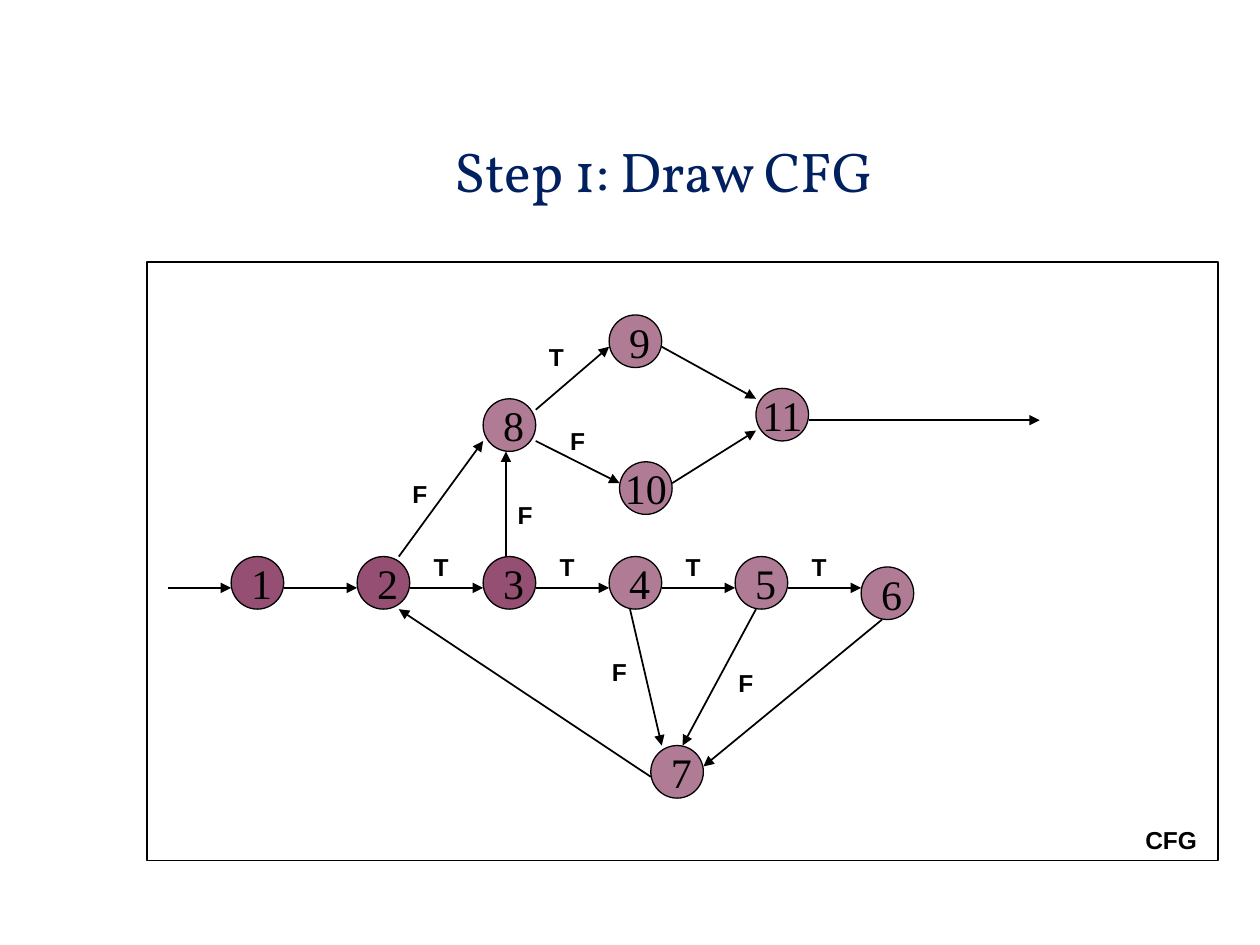
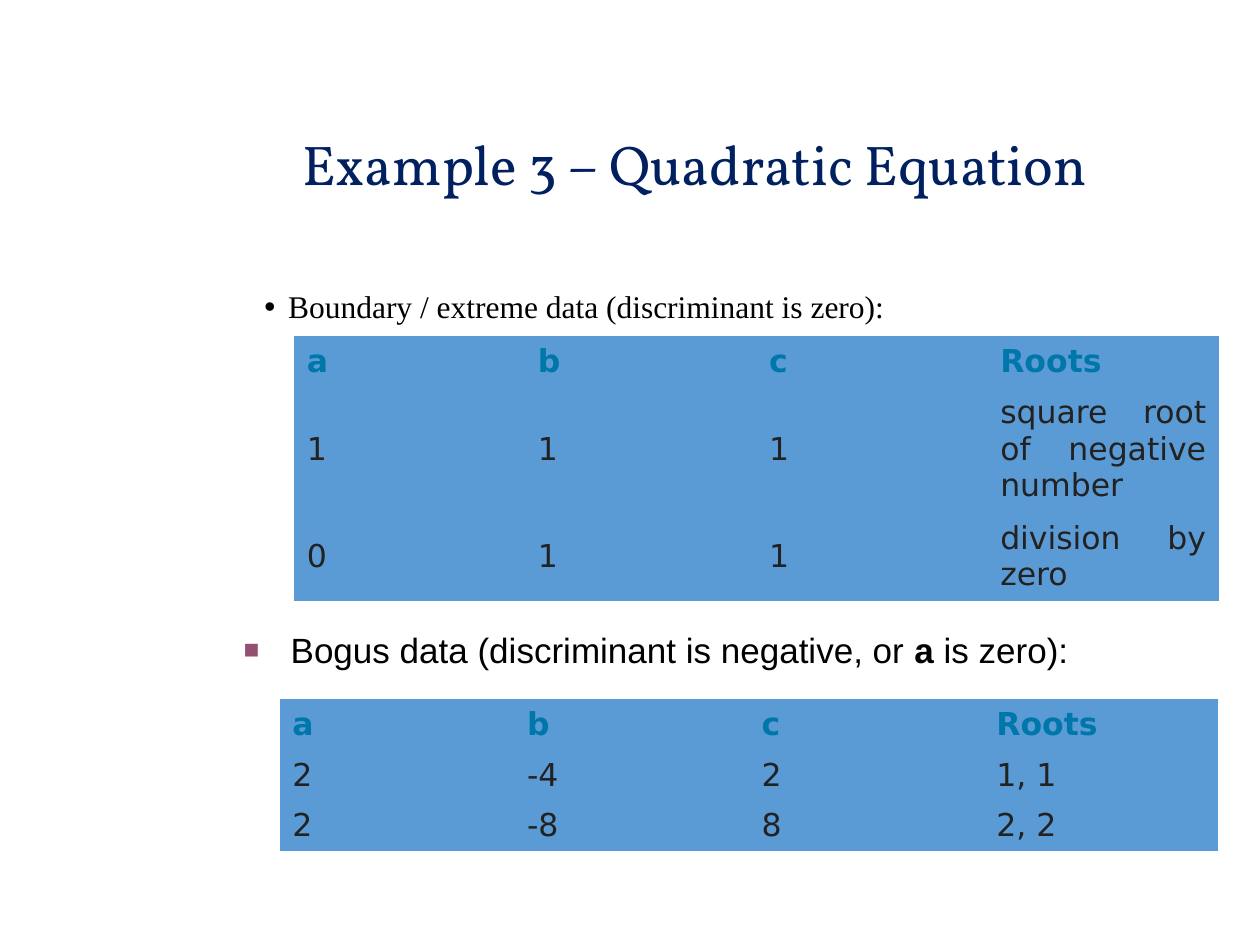
from lxml import etree
from pptx import Presentation
from pptx.dml.color import RGBColor
from pptx.enum.shapes import MSO_CONNECTOR, MSO_SHAPE as Shape
from pptx.enum.text import MSO_ANCHOR as Anchor, PP_ALIGN as Align
from pptx.oxml.ns import qn
from pptx.util import Cm, Pt

BLACK = RGBColor(0x00, 0x00, 0x00)
NAVY = RGBColor(0x00, 0x20, 0x60)
PLUM = RGBColor(0x95, 0x4F, 0x72)
BLUE = RGBColor(0x5B, 0x9B, 0xD5)
TEAL = RGBColor(0x00, 0x77, 0xAA)
CHARCOAL = RGBColor(0x22, 0x22, 0x22)

SERIF, SANS = "Times New Roman", "Arial"
TITLE_FONT, TABLE_FONT = "Vollkorn", "DejaVu Sans"
NO_GRID_STYLE = "{2D5ABB26-0587-4C30-8999-92F81FD0307C}"

NODE_SIZE = 1.06
NODE_STEP = 2.54
FIRST_NODE = 4.66
MAIN_ROW = 11.22
MAIN_ARROW_Y = 11.85

OPAQUE_NODES = {f"{i + 1}": (FIRST_NODE + i * NODE_STEP, MAIN_ROW) for i in range(3)}
PALE_NODES = {
    "4": (12.28, MAIN_ROW),
    "5": (14.82, MAIN_ROW),
    "6": (17.36, 11.43),
    "7": (13.12, 15.03),
    "8": (9.74, 8.04),
    "9": (12.28, 6.35),
    "10": (12.49, 9.31),
    "11": (15.24, 7.83),
}
BRANCH_ARROWS = [
    (17.78, 12.49, 14.18, 15.45),
    (15.24, 12.28, 13.76, 15.03),
    (12.7, 12.28, 13.34, 15.03),
    (13.12, 15.66, 8.04, 12.28),
    (8.04, 11.22, 9.74, 8.89),
    (10.2, 11.22, 10.2, 9.1),
    (10.8, 8.26, 12.28, 6.99),
    (10.8, 8.89, 12.49, 9.74),
    (13.34, 6.99, 15.24, 8.04),
    (13.55, 9.74, 15.24, 8.68),
    (16.3, 8.47, 20.96, 8.47),
]
BRANCH_LABELS = [
    ("T", 10.58, 6.77),
    ("F", 11.01, 8.47),
    ("F", 7.83, 9.53),
    ("F", 9.95, 9.95),
    ("F", 11.85, 13.12),
    ("F", 14.4, 13.34),
]


def style_paragraph(para, name, size, color, bold=False, align=Align.LEFT):
    para.alignment = align
    for span in para.runs:
        span.font.name = name
        span.font.size = Pt(size)
        span.font.color.rgb = color
        span.font.bold = bold


def add_text_box(page, text, left, top, width, height):
    box = page.shapes.add_textbox(Cm(left), Cm(top), Cm(width), Cm(height))
    box.text_frame.word_wrap = True
    box.text_frame.text = text
    return box.text_frame


def add_title(page, text, left, top, width):
    frame = add_text_box(page, text, left, top, width, 1.5)
    frame.margin_left = frame.margin_right = Cm(0.18)
    frame.margin_top = frame.margin_bottom = Cm(0.08)
    para = frame.paragraphs[0]
    para.line_spacing = 0.9
    style_paragraph(para, TITLE_FONT, 32, NAVY, align=Align.CENTER)


def add_node(page, number, left, top, opacity=100):
    node = page.shapes.add_shape(
        Shape.OVAL, Cm(left), Cm(top), Cm(NODE_SIZE), Cm(NODE_SIZE))
    node.shadow.inherit = False
    node.fill.solid()
    node.fill.fore_color.rgb = PLUM
    if opacity < 100:
        color = node.fill._xPr.find(qn("a:solidFill"))[0]
        etree.SubElement(color, qn("a:alpha"), val=str(opacity * 1000))
    node.line.color.rgb = BLACK
    node.line.width = Pt(0.75)
    frame = node.text_frame
    frame.word_wrap = False
    frame.vertical_anchor = Anchor.MIDDLE
    frame.text = number
    align = Align.CENTER if len(number) > 1 else Align.LEFT
    style_paragraph(frame.paragraphs[0], SERIF, 24, BLACK, align=align)


def add_arrow(page, start_x, start_y, end_x, end_y):
    arrow = page.shapes.add_connector(
        MSO_CONNECTOR.STRAIGHT, Cm(start_x), Cm(start_y), Cm(end_x), Cm(end_y))
    arrow.line.color.rgb = BLACK
    arrow.line.width = Pt(1)
    etree.SubElement(arrow.line._get_or_add_ln(), qn("a:tailEnd"), type="triangle")
    etree.SubElement(arrow._element.spPr, qn("a:effectLst"))


def add_label(page, text, left, top, width=1.27):
    frame = add_text_box(page, text, left, top, width, 0.86)
    style_paragraph(frame.paragraphs[0], SANS, 14, BLACK, True, Align.CENTER)


def add_frame(page, left, top, width, height):
    frame = page.shapes.add_shape(
        Shape.RECTANGLE, Cm(left), Cm(top), Cm(width), Cm(height))
    frame.shadow.inherit = False
    frame.fill.background()
    frame.line.color.rgb = BLACK
    frame.line.width = Pt(1)


def add_bullet(para, symbol, color, indent, size=100):
    props = para._p.get_or_add_pPr()
    props.set("marL", str(Cm(indent)))
    props.set("indent", str(-Cm(indent)))
    bullet_color = etree.SubElement(props, qn("a:buClr"))
    etree.SubElement(bullet_color, qn("a:srgbClr"), val=str(color))
    etree.SubElement(props, qn("a:buSzPct"), val=str(size * 1000))
    etree.SubElement(props, qn("a:buFont"), typeface=SANS)
    etree.SubElement(props, qn("a:buChar"), char=symbol)


def add_roots_table(page, rows, left, top, column_width, row_heights):
    header = ("a", "b", "c", "Roots")
    grid = page.shapes.add_table(
        len(rows) + 1, len(header), Cm(left), Cm(top),
        Cm(column_width * len(header)), Cm(sum(row_heights))).table
    grid._tbl.tblPr.find(qn("a:tableStyleId")).text = NO_GRID_STYLE
    grid.first_row = grid.horz_banding = False
    for column in grid.columns:
        column.width = Cm(column_width)
    for row, height, values in zip(grid.rows, row_heights, [header, *rows]):
        row.height = Cm(height)
        is_header = values is header
        for cell, value in zip(row.cells, values):
            cell.fill.solid()
            cell.fill.fore_color.rgb = BLUE
            cell.vertical_anchor = Anchor.MIDDLE
            cell.text = value
            align = Align.JUSTIFY if len(value) > 4 else Align.LEFT
            style_paragraph(cell.text_frame.paragraphs[0], TABLE_FONT, 18,
                            TEAL if is_header else CHARCOAL, is_header, align)


def build_flow_graph(page):
    add_title(page, "Step 1: Draw CFG", 8.56, 2.82, 9.65)
    add_frame(page, 2.96, 5.29, 21.59, 12.06)
    for number, (left, top) in OPAQUE_NODES.items():
        add_node(page, number, left, top)
    for number, (left, top) in PALE_NODES.items():
        add_node(page, number, left, top, opacity=75)

    add_arrow(page, 3.39, MAIN_ARROW_Y, FIRST_NODE, MAIN_ARROW_Y)
    for i in range(5):
        left = FIRST_NODE + i * NODE_STEP
        add_arrow(page, left + NODE_SIZE, MAIN_ARROW_Y, left + NODE_STEP, MAIN_ARROW_Y)
    for arrow in BRANCH_ARROWS:
        add_arrow(page, *arrow)

    for i in range(4):
        add_label(page, "T", 8.26 + i * NODE_STEP, 11)
    for label in BRANCH_LABELS:
        add_label(page, *label)
    add_label(page, "CFG", 22.66, 16.51, 1.9)


def build_quadratic_example(page):
    add_title(page, "Example 3 – Quadratic Equation", 5.64, 2.69, 16.74)

    boundary = add_text_box(
        page, "Boundary / extreme data (discriminant is zero):", 5.08, 5.29, 19.25, 3.18)
    para = boundary.paragraphs[0]
    para.line_spacing = 1.5
    add_bullet(para, "•", BLACK, 0.48)
    style_paragraph(para, SERIF, 18, BLACK)

    bogus = add_text_box(
        page, "Bogus data (discriminant is negative, or ", 4.66, 12.55, 20.12, 6.5)
    para = bogus.paragraphs[0]
    for text in ("a", " is zero):"):
        para.add_run().text = text
    add_bullet(para, "■", PLUM, 0.95, 75)
    style_paragraph(para, SANS, 20, BLACK)
    para.runs[1].font.bold = True

    add_roots_table(
        page,
        [("1", "1", "1", "square root of negative number"),
         ("0", "1", "1", "division by zero")],
        5.93, 6.77, 4.66, (1.02, 2.54, 1.78))
    add_roots_table(
        page,
        [("2", "-4", "2", "1, 1"), ("2", "-8", "8", "2, 2")],
        5.64, 14.1, 4.73, (1.02, 1.02, 1.02))


def main():
    deck = Presentation()
    deck.slide_width, deck.slide_height = Cm(25.4), Cm(19.05)
    blank = deck.slide_layouts[6]
    for build in (build_flow_graph, build_quadratic_example):
        build(deck.slides.add_slide(blank))
    deck.save("out.pptx")


if __name__ == "__main__":
    main()
